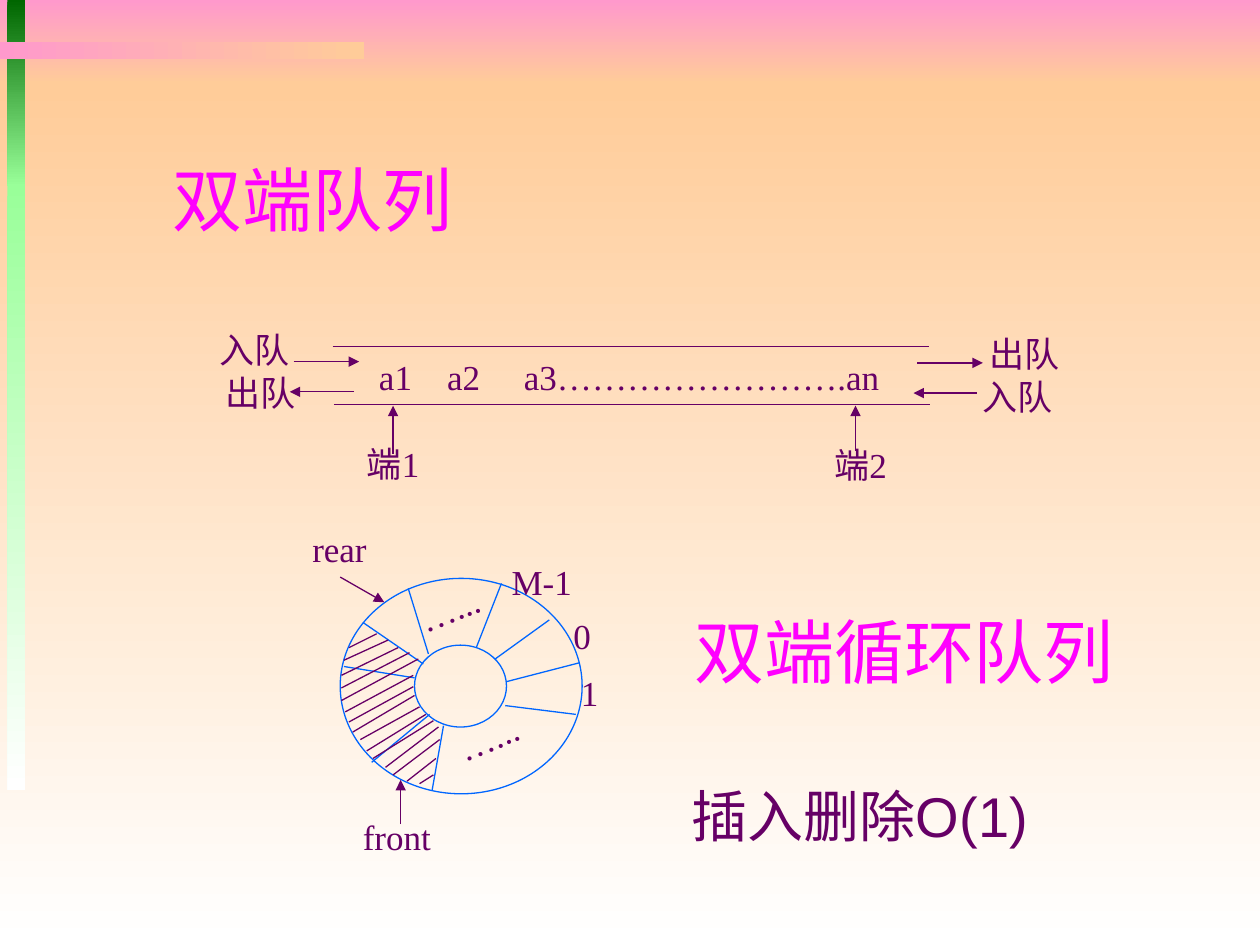
from lxml.etree import SubElement
from pptx import Presentation
from pptx.dml.color import RGBColor
from pptx.enum.shapes import MSO_CONNECTOR as Connector, MSO_SHAPE as Shape
from pptx.enum.text import MSO_ANCHOR as Anchor, PP_ALIGN as Align
from pptx.oxml.ns import qn
from pptx.util import Emu, Pt

PX = 9144
PURPLE, MAGENTA, BLUE = "660066", "FF00FF", "0066FF"
PINK, PEACH, WHITE = "FF99CC", "FFCC99", "FFFFFF"
DARK_GREEN, LIGHT_GREEN = "006600", "99FF99"
DOWN, ACROSS = 270, 0

BANDS = [
    (0, 0, 1000, 67, PINK, PEACH, DOWN),
    (0, 67, 1000, 683, PEACH, WHITE, DOWN),
    (6, 0, 14, 148, DARK_GREEN, LIGHT_GREEN, DOWN),
    (6, 146, 14, 481, LIGHT_GREEN, WHITE, DOWN),
    (0, 33, 289, 14, PINK, PEACH, ACROSS),
]
RAILS = [(264, 275, 737, 275), (265, 321, 738, 321)]
ARROWS = [
    (312, 360, 312, 322), (679, 358, 679, 322),
    (775, 312, 725, 312), (728, 288, 780, 288),
    (281, 311, 230, 311), (233, 287, 285, 287),
    (318, 654, 318, 619), (270, 458, 305, 478),
]
RING = [(270, 459, 192, 171), (329, 512, 73, 65)]
SPOKES = [
    (324, 467, 340, 519), (352, 576, 343, 627), (341, 567, 295, 605),
    (336, 527, 288, 494), (398, 463, 378, 514), (393, 523, 436, 492),
    (402, 541, 460, 526), (401, 560, 457, 567), (329, 538, 273, 529),
]
HATCHING = [
    (277, 514, 299, 503), (273, 524, 308, 508), (271, 536, 316, 514),
    (271, 546, 325, 518), (271, 556, 332, 523), (274, 565, 328, 536),
    (277, 573, 328, 545), (280, 581, 329, 552), (286, 587, 333, 561),
    (291, 596, 338, 567), (296, 602, 344, 572), (306, 609, 348, 577),
    (312, 615, 349, 587), (323, 620, 346, 602), (333, 622, 344, 615),
]
LABELS = [
    ("入队", 770, 293, 76), ("出队", 775, 259, 76),
    ("入队", 164, 256, 76), ("出队", 169, 290, 76),
    ("0", 445, 483, 34), ("M-1", 396, 440, 68), ("1", 451, 528, 34),
    ("front", 278, 642, 74), ("rear", 238, 414, 63),
]
END_LABELS = [("端1", 281, 346, 62), ("端2", 652, 347, 62)]
ELLIPSES = [(322, 462), (353, 564)]
TITLES = [("双端队列", 115, 119, 307), ("双端循环队列", 529, 478, 412)]


def rgb(color):
    """Turn a hex string into a colour."""
    return RGBColor.from_string(color)


class Canvas:
    """Hold the style and the current slide."""

    label_font = "Times New Roman"
    heading_font = "Arial"
    line_width = Pt(0.75)
    label_height = 43

    def __init__(self, slide):
        """Keep the slide to draw on."""
        self.slide = slide

    def shape(self, kind, *box):
        """Add a plain preset shape."""
        shape = self.slide.shapes.add_shape(kind, *(Emu(n * PX) for n in box))
        shape.shadow.inherit = False
        return shape

    def band(self, left, top, width, height, first, last, angle):
        """Add a rectangle that fades between two colours."""
        shape = self.shape(Shape.RECTANGLE, left, top, width, height)
        shape.line.fill.background()
        shape.fill.gradient()
        shape.fill.gradient_angle = angle
        for stop, color in zip(shape.fill.gradient_stops, (first, last)):
            stop.color.rgb = rgb(color)
        for stop, position in zip(shape.fill.gradient_stops, (0, 1)):
            stop.position = position

    def circle(self, *box):
        """Add an outlined ellipse."""
        shape = self.shape(Shape.OVAL, *box)
        shape.fill.background()
        shape.line.color.rgb = rgb(BLUE)
        shape.line.width = self.line_width

    def line(self, ends, color=PURPLE, arrow=False):
        """Add a straight line, with an arrowhead at its end if asked."""
        connector = self.slide.shapes.add_connector(
            Connector.STRAIGHT, *(Emu(n * PX) for n in ends))
        connector.line.color.rgb = rgb(color)
        connector.line.width = self.line_width
        properties = connector._element.spPr
        if arrow:
            SubElement(properties.find(qn("a:ln")), qn("a:tailEnd"), type="triangle")
        SubElement(properties, qn("a:effectLst"))

    def text(self, text, left, top, width, height, size, font, color, wrap=True):
        """Add a text box with one run and return its shape."""
        shape = self.slide.shapes.add_textbox(
            *(Emu(n * PX) for n in (left, top, width, height)))
        shape.text_frame.word_wrap = wrap
        run = shape.text_frame.paragraphs[0].add_run()
        run.text = text
        run.font.size = Pt(size)
        run.font.name = font
        run.font.color.rgb = rgb(color)
        return shape

    def label(self, text, left, top, width, wrap=False, align=Align.CENTER):
        """Add a small label centred on its box height."""
        shape = self.text(text, left, top, width, self.label_height, 20,
                          self.label_font, PURPLE, wrap)
        shape.text_frame.vertical_anchor = Anchor.MIDDLE
        shape.text_frame.paragraphs[0].alignment = align
        return shape

    def queue(self, text, left, top, width, stops):
        """Add the queue items, spaced by tab stops."""
        shape = self.label(text, left, top, width, True, Align.LEFT)
        properties = shape.text_frame.paragraphs[0]._p.get_or_add_pPr()
        tabs = SubElement(properties, qn("a:tabLst"))
        for stop in stops:
            SubElement(tabs, qn("a:tab"), pos=str(stop * PX), algn="l")

    def title(self, text, left, top, width):
        """Add a large indented title."""
        shape = self.text(text, left, top, width, 74, 40, self.heading_font, MAGENTA)
        shape.text_frame.margin_left = Emu(22 * PX)
        shape.text_frame.paragraphs[0].space_before = Pt(8)


def main():
    """Build the slide and save it."""
    presentation = Presentation()
    presentation.slide_width = Emu(1000 * PX)
    presentation.slide_height = Emu(750 * PX)
    canvas = Canvas(presentation.slides.add_slide(presentation.slide_layouts[6]))

    for band in BANDS:
        canvas.band(*band)
    for title in TITLES:
        canvas.title(*title)
    for rail in RAILS:
        canvas.line(rail)
    canvas.queue("a1\ta2\ta3…………………….an", 291, 277, 424, (54, 115))
    for circle in RING:
        canvas.circle(*circle)
    for spoke in SPOKES:
        canvas.line(spoke, BLUE)
    for stroke in HATCHING:
        canvas.line(stroke)
    for arrow in ARROWS:
        canvas.line(arrow, arrow=True)
    for label in LABELS:
        canvas.label(*label)
    for label in END_LABELS:
        canvas.label(*label, wrap=True)
    for left, top in ELLIPSES:
        canvas.label("…...", left, top, 69).rotation = 338.4
    canvas.text("插入删除O(1)", 539, 615, 412, 64, 32, canvas.heading_font, PURPLE)

    presentation.save("out.pptx")


if __name__ == "__main__":
    main()
